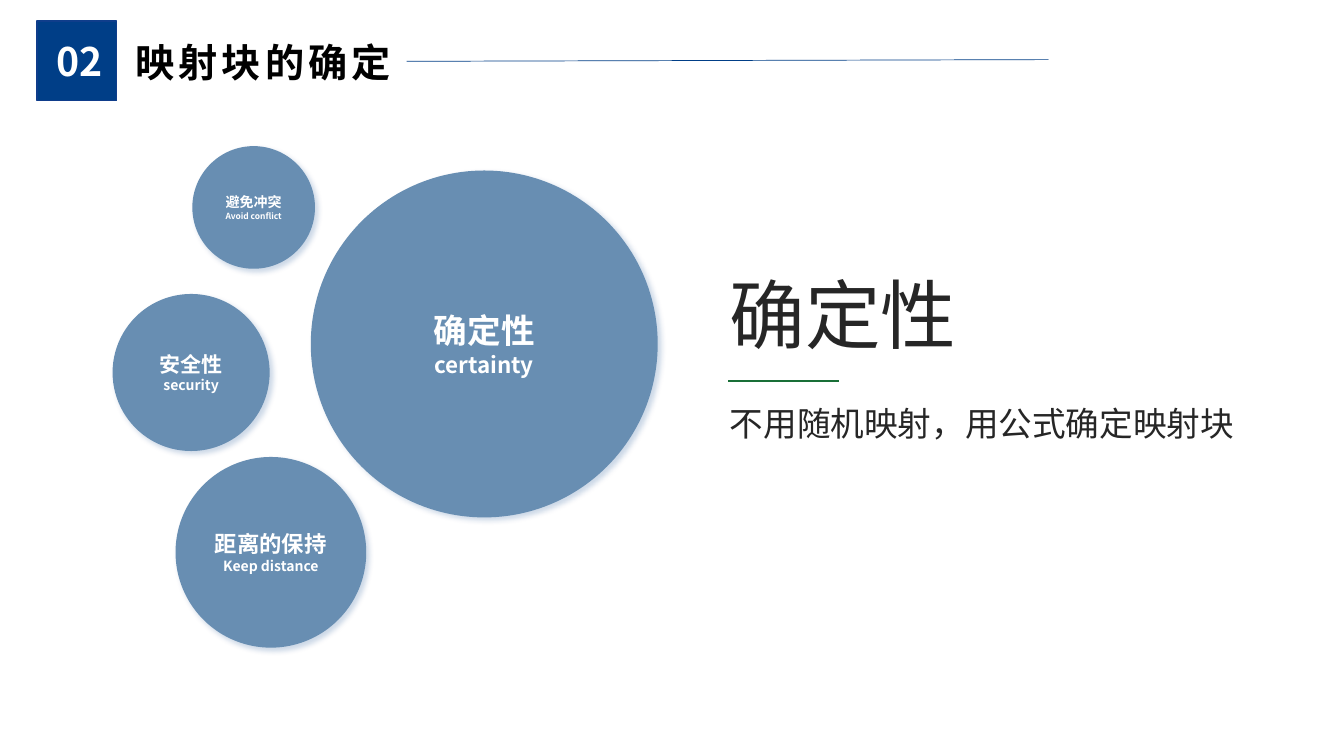
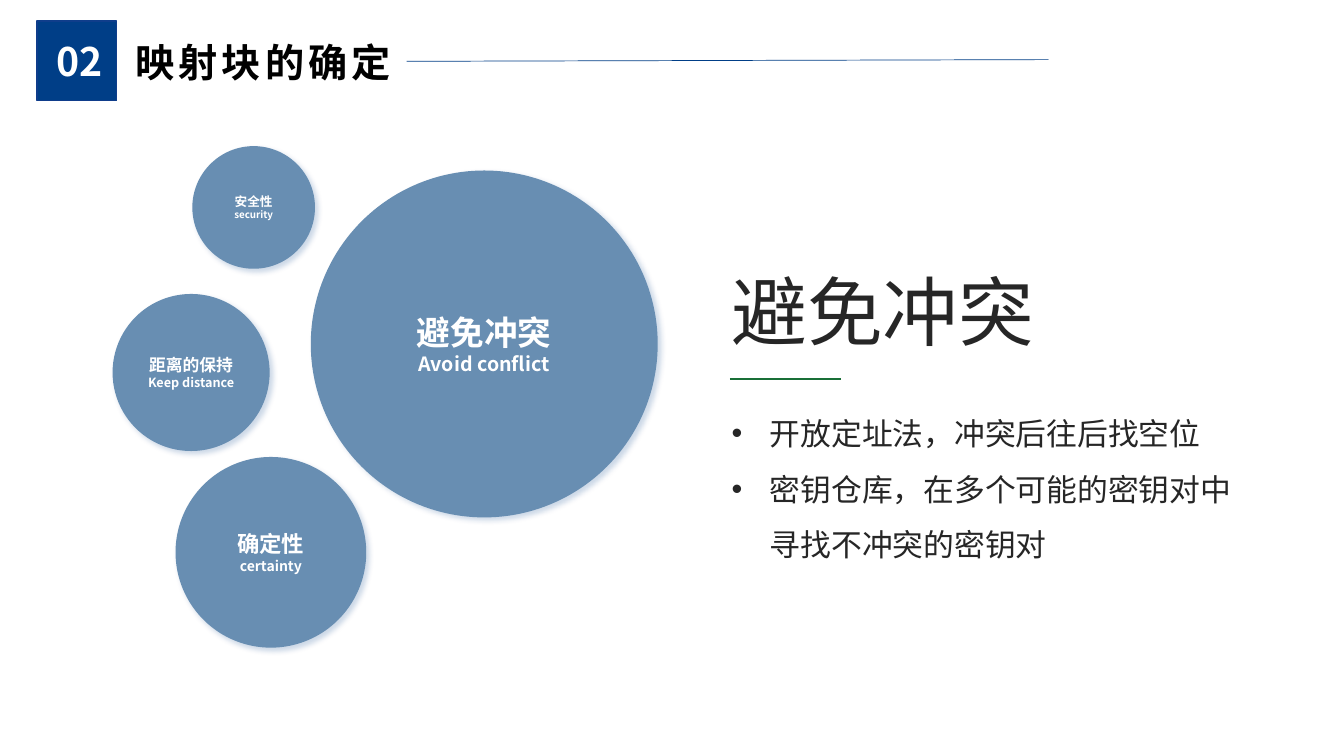
import pptx
import pptx.dml.color
import pptx.enum.shapes
import pptx.enum.text
import pptx.oxml
import pptx.oxml.ns
import pptx.util
from lxml import etree

qn = pptx.oxml.ns.qn
SHAPE = pptx.enum.shapes.MSO_SHAPE
ALIGN = pptx.enum.text.PP_ALIGN
COLUMNS, ROWS = 160, 90
FONT = "Noto Sans CJK SC"
NAVY, NAVY_EDGE, BUBBLE, SHADOW = "003E87", "0F3D8B", "688EB2", "003F88"
GREEN, INK, BLACK, WHITE = "196F37", "262626", "000000", "FFFFFF"

BUBBLE_PLACES = {
    "left": (13.4, 35, 18.7),
    "top": (22.9, 17.4, 14.6),
    "bottom": (20.9, 54.4, 22.7),
    "main": (37, 20.3, 41.3),
}
ENGLISH = {
    "确定性": "certainty",
    "避免冲突": "Avoid conflict",
    "安全性": "security",
    "距离的保持": "Keep distance",
}


def color(hex_text):
    return pptx.dml.color.RGBColor.from_string(hex_text)


class Deck:
    """Holds the shared style and the current slide, measured in grid cells."""

    def __init__(self):
        self.show = pptx.Presentation()
        self.show.slide_width = pptx.util.Inches(13.33)
        self.show.slide_height = pptx.util.Inches(7.5)
        self.slide = None

    def x(self, columns):
        return round(self.show.slide_width * columns / COLUMNS)

    def y(self, rows):
        return round(self.show.slide_height * rows / ROWS)

    def box(self, left, top, width, height):
        return self.x(left), self.y(top), self.x(width), self.y(height)

    def new_slide(self, number, title):
        self.slide = self.show.slides.add_slide(self.show.slide_layouts[6])
        badge = self.shape(SHAPE.RECTANGLE, (4.4, 2.5, 9.5, 9.5), NAVY)
        badge.line.color.rgb = color(NAVY_EDGE)
        badge.line.width = pptx.util.Pt(1)
        self.text((4.7, 3.8, 9.5, 6.8), [number], 28, WHITE, bold=True, align=ALIGN.CENTER)
        self.text((14.9, 4, 33.4, 6.8), [title], 28, BLACK, bold=True, spacing=3, wrap=False)
        self.line((48.4, 7.3), (124.8, 7.1), NAVY, 0.5)

    def shape(self, kind, place, fill):
        shape = self.slide.shapes.add_shape(kind, *self.box(*place))
        shape.shadow.inherit = False
        shape.fill.solid()
        shape.fill.fore_color.rgb = color(fill)
        shape.line.fill.background()
        return shape

    def line(self, start, end, hue, width):
        line = self.slide.shapes.add_connector(
            pptx.enum.shapes.MSO_CONNECTOR.STRAIGHT,
            self.x(start[0]), self.y(start[1]), self.x(end[0]), self.y(end[1]))
        line.line.color.rgb = color(hue)
        line.line.width = pptx.util.Pt(width)
        etree.SubElement(line._element.spPr, qn("a:effectLst"))

    def style(self, paragraph, size, hue, bold=False, align=ALIGN.LEFT, spacing=0):
        paragraph.alignment = align
        font = paragraph.font
        font.size = pptx.util.Pt(size)
        font.bold = bold
        font.color.rgb = color(hue)
        font.name = FONT
        defaults = paragraph._p.pPr.find(qn("a:defRPr"))
        etree.SubElement(defaults, qn("a:ea"), typeface=FONT)
        if spacing:
            defaults.set("spc", str(spacing * 100))

    def bullet(self, paragraph):
        paragraph.line_spacing = 1.5
        properties = paragraph._p.get_or_add_pPr()
        indent = pptx.util.Inches(0.38)
        properties.set("marL", str(indent))
        properties.set("indent", str(-indent))
        etree.SubElement(properties, qn("a:buFont"), typeface="Arial")
        etree.SubElement(properties, qn("a:buChar"), char="•")

    def text(self, place, lines, size, hue, wrap=True, bullets=False, **style):
        frame = self.slide.shapes.add_textbox(*self.box(*place)).text_frame
        frame.word_wrap = wrap
        frame.text = "\n".join(lines)
        for paragraph in frame.paragraphs:
            if bullets:
                self.bullet(paragraph)
            self.style(paragraph, size, hue, **style)

    def bubble(self, place, topic, sizes):
        left, top, diameter = BUBBLE_PLACES[place]
        bubble = self.shape(SHAPE.OVAL, (left, top, diameter, diameter), BUBBLE)
        effects = bubble._element.spPr.find(qn("a:effectLst"))
        shadow = etree.SubElement(
            effects, qn("a:outerShdw"), blurRad=str(pptx.util.Pt(4)),
            dist=str(pptx.util.Pt(3)), dir=str(45 * 60000), algn="tl", rotWithShape="0")
        tint = etree.SubElement(shadow, qn("a:srgbClr"), val=SHADOW)
        etree.SubElement(tint, qn("a:alpha"), val="20000")
        frame = bubble.text_frame
        frame.vertical_anchor = pptx.enum.text.MSO_ANCHOR.MIDDLE
        frame.text = f"{topic}\n{ENGLISH[topic]}"
        for paragraph, size in zip(frame.paragraphs, sizes):
            self.style(paragraph, size, WHITE, bold=True, align=ALIGN.CENTER)

    def topic(self, heading, left, rule_top):
        self.text((left, rule_top - 14.1, 45.1, 12.1), [heading], 54, INK)
        self.line((left + 1, rule_top), (left + 14.2, rule_top), GREEN, 1.5)


def main():
    deck = Deck()
    pages = [
        {
            "bubbles": {
                "left": ("安全性", (15, 10)),
                "top": ("避免冲突", (10, 6)),
                "bottom": ("距离的保持", (16, 10)),
                "main": ("确定性", (24, 16)),
            },
            "left": 85.7, "rule_top": 45.4,
            "body": (47.4, 65.5, 7.4), "size": 24, "bullets": False,
            "lines": ["不用随机映射，用公式确定映射块"],
        },
        {
            "bubbles": {
                "left": ("距离的保持", (12, 9)),
                "top": ("安全性", (9, 7)),
                "bottom": ("确定性", (16, 10)),
                "main": ("避免冲突", (24, 14)),
            },
            "left": 85.9, "rule_top": 45.1,
            "body": (46.6, 62.8, 21.2), "size": 22, "bullets": True,
            "lines": ["开放定址法，冲突后往后找空位",
                      "密钥仓库，在多个可能的密钥对中寻找不冲突的密钥对"],
        },
    ]
    for page in pages:
        deck.new_slide("02", "映射块的确定")
        for place, (topic, sizes) in page["bubbles"].items():
            deck.bubble(place, topic, sizes)
        deck.topic(page["bubbles"]["main"][0], page["left"], page["rule_top"])
        deck.text((page["left"], *page["body"]), page["lines"], page["size"], INK,
                  bullets=page["bullets"])
    deck.show.save("out.pptx")


if __name__ == "__main__":
    main()
